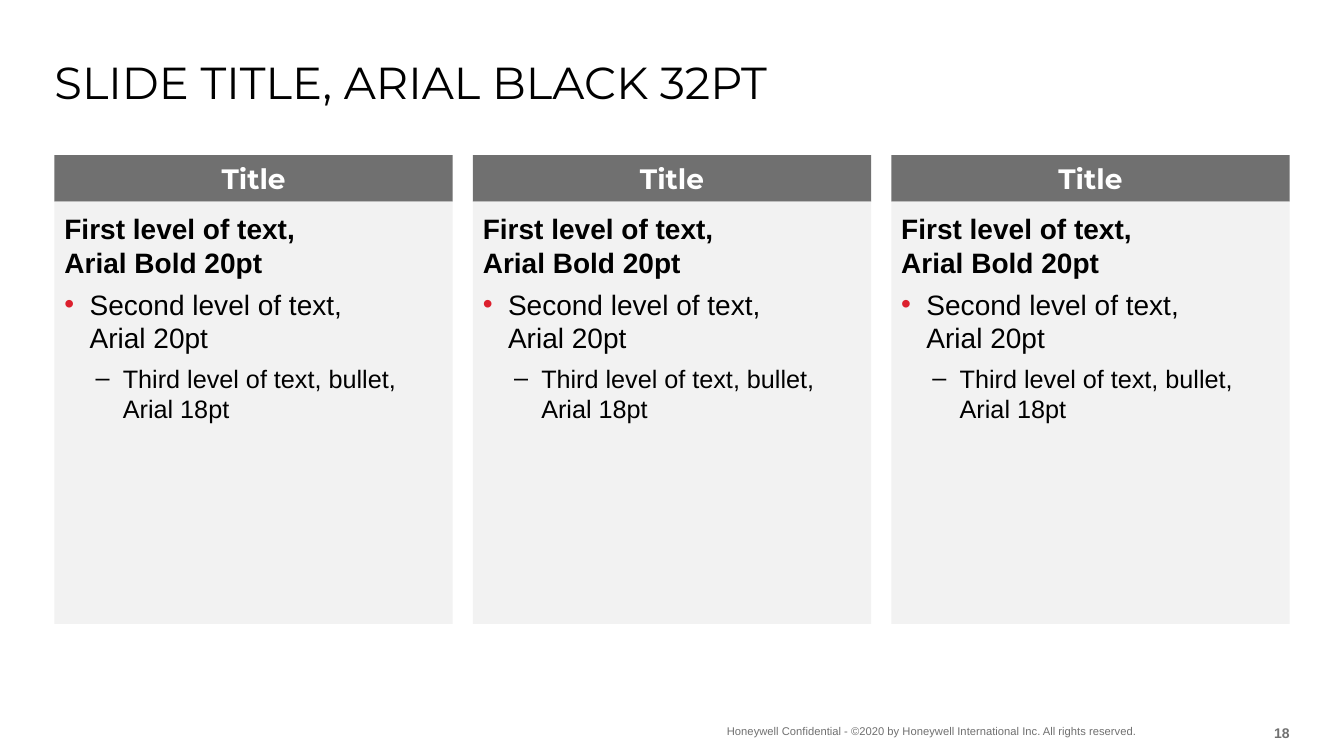
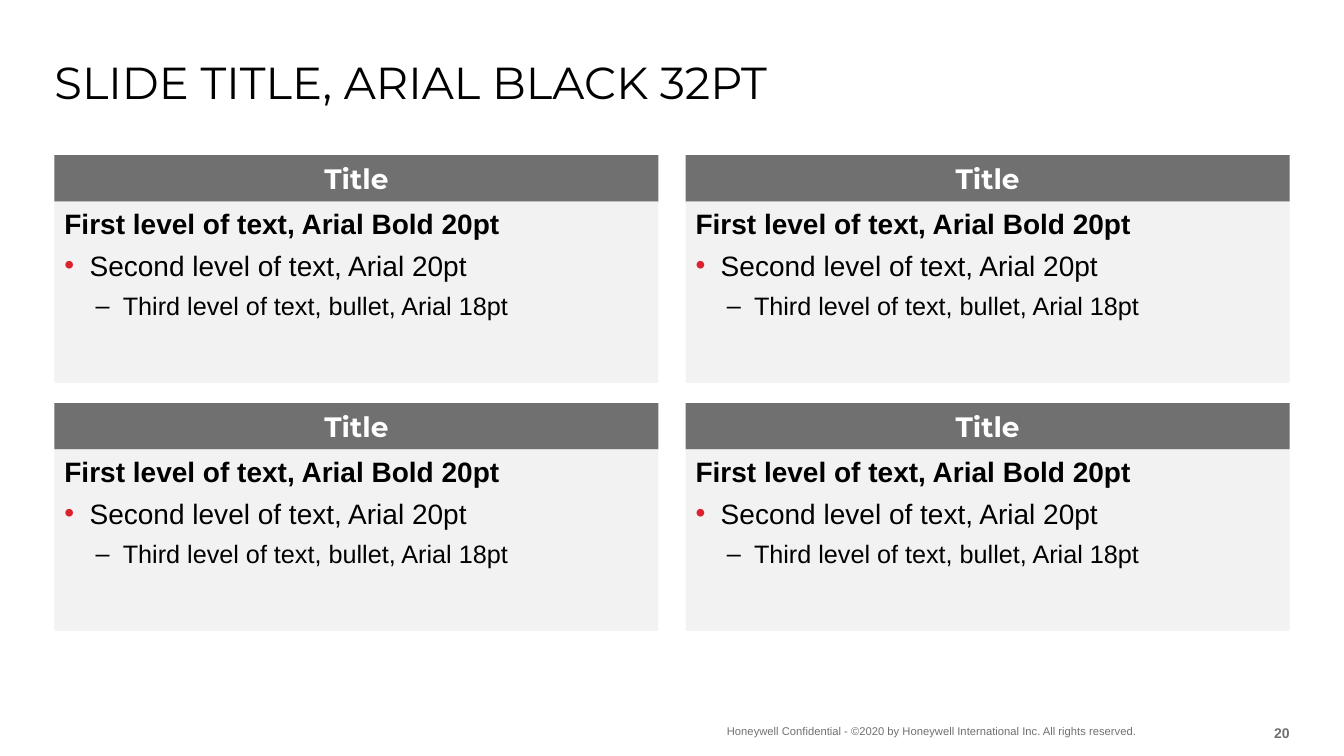
from dataclasses import dataclass

from lxml import etree
from pptx import Presentation
from pptx.dml.color import RGBColor
from pptx.enum.shapes import MSO_SHAPE
from pptx.enum.text import MSO_ANCHOR, PP_ALIGN
from pptx.oxml.ns import qn
from pptx.util import Inches, Pt

RECTANGLE = MSO_SHAPE.RECTANGLE
TOP, MIDDLE, BOTTOM = MSO_ANCHOR.TOP, MSO_ANCHOR.MIDDLE, MSO_ANCHOR.BOTTOM
LEFT, CENTER, RIGHT = PP_ALIGN.LEFT, PP_ALIGN.CENTER, PP_ALIGN.RIGHT
BLANK_LAYOUT = 6


@dataclass(frozen=True)
class TextStyle:
    font: str
    size: int
    color: str
    bold: bool = False


@dataclass(frozen=True)
class Level:
    style: TextStyle
    bullet: str = ""
    bullet_color: str = ""
    margin: float = 0
    hanging: float = 0


@dataclass(frozen=True)
class Theme:
    band: str = "707070"
    panel: str = "F2F2F2"
    title: TextStyle = TextStyle("Montserrat", 32, "000000")
    heading: TextStyle = TextStyle("Montserrat", 20, "FFFFFF", True)
    footer: TextStyle = TextStyle("Arial", 8, "707070")
    number: TextStyle = TextStyle("Arial", 10, "707070", True)
    levels: tuple = (
        Level(TextStyle("Arial", 20, "000000", True)),
        Level(TextStyle("Arial", 20, "000000"), "•", "DC202E", 0.25, 0.25),
        Level(TextStyle("Arial", 18, "000000"), "‒", "000000", 0.58, 0.27),
    )
    space_after: int = 6


THEME = Theme()

# Page frame, in inches
PAGE_WIDTH, PAGE_HEIGHT = 13.33, 7.5
MARGIN = 0.54
CONTENT_WIDTH = PAGE_WIDTH - 2 * MARGIN
CONTENT_TOP = 1.54
BAND_HEIGHT = 0.46

TITLE = "SLIDE TITLE, ARIAL BLACK 32PT"
FOOTER = "Honeywell Confidential - ©2020 by Honeywell International Inc. All rights reserved."


@dataclass(frozen=True)
class CardGrid:
    columns: int
    rows: int
    column_gap: float
    row_gap: float
    card_height: float

    def cells(self):
        """Yield left, top and width of each card, row by row."""
        width = (CONTENT_WIDTH - (self.columns - 1) * self.column_gap) / self.columns
        for row in range(self.rows):
            top = CONTENT_TOP + row * (self.card_height + self.row_gap)
            for column in range(self.columns):
                yield MARGIN + column * (width + self.column_gap), top, width


def apply_style(paragraph, style):
    font = paragraph.font
    font.name, font.size, font.bold = style.font, Pt(style.size), style.bold
    font.color.rgb = RGBColor.from_string(style.color)


def set_bullet(paragraph, level):
    properties = paragraph._p.get_or_add_pPr()
    properties.set("marL", str(Inches(level.margin)))
    properties.set("indent", str(Inches(-level.hanging)))
    color = etree.SubElement(properties, qn("a:buClr"))
    etree.SubElement(color, qn("a:srgbClr"), val=level.bullet_color)
    etree.SubElement(properties, qn("a:buFont"), typeface="Arial")
    etree.SubElement(properties, qn("a:buChar"), char=level.bullet)


def add_label(page, text, area, style, align=LEFT, anchor=TOP, wrap=True):
    """Add a single paragraph of text without insets."""
    frame = page.shapes.add_textbox(*map(Inches, area)).text_frame
    frame.margin_left = frame.margin_right = frame.margin_top = frame.margin_bottom = 0
    frame.word_wrap, frame.vertical_anchor = wrap, anchor
    paragraph = frame.paragraphs[0]
    paragraph.text, paragraph.alignment = text, align
    apply_style(paragraph, style)


def add_panel(page, area, color, anchor):
    """Add a plain filled rectangle and return its text frame."""
    panel = page.shapes.add_shape(RECTANGLE, *map(Inches, area))
    panel.shadow.inherit = False
    panel.fill.solid()
    panel.fill.fore_color.rgb = RGBColor.from_string(color)
    panel.line.fill.background()
    frame = panel.text_frame
    frame.word_wrap, frame.vertical_anchor = True, anchor
    return frame


def add_card(page, cell, height, heading, texts, inset):
    left, top, width = cell

    # Heading band
    band = add_panel(page, (left, top, width, BAND_HEIGHT), THEME.band, MIDDLE)
    paragraph = band.paragraphs[0]
    paragraph.text, paragraph.alignment = heading, CENTER
    apply_style(paragraph, THEME.heading)

    # Body with one paragraph per text level
    area = (left, top + BAND_HEIGHT, width, height - BAND_HEIGHT)
    body = add_panel(page, area, THEME.panel, TOP)
    body.margin_top = body.margin_bottom = Inches(inset)
    for index, (text, level) in enumerate(zip(texts, THEME.levels)):
        paragraph = body.add_paragraph() if index else body.paragraphs[0]
        paragraph.text, paragraph.level, paragraph.alignment = text, index, LEFT
        if level.bullet:
            set_bullet(paragraph, level)
        paragraph.space_after = Pt(THEME.space_after)
        apply_style(paragraph, level.style)


def add_page(deck, number):
    """Add a page with the shared title, footer and page number."""
    page = deck.slides.add_slide(deck.slide_layouts[BLANK_LAYOUT])
    add_label(page, FOOTER, (7.21, 7.08, 4.5, 0.24), THEME.footer,
              anchor=BOTTOM, wrap=False)
    add_label(page, TITLE, (MARGIN, MARGIN, CONTENT_WIDTH, 0.46), THEME.title)
    number_width = 0.54
    number_left = PAGE_WIDTH - MARGIN - number_width
    add_label(page, str(number), (number_left, 7.09, number_width, 0.26),
              THEME.number, RIGHT, BOTTOM)
    return page


def add_card_page(deck, number, grid, texts, inset):
    page = add_page(deck, number)
    for cell in grid.cells():
        add_card(page, cell, grid.card_height, "Title", texts, inset)


def main():
    deck = Presentation()
    deck.slide_width, deck.slide_height = Inches(PAGE_WIDTH), Inches(PAGE_HEIGHT)

    # Three columns
    add_card_page(deck, 18, CardGrid(3, 1, 0.2, 0, 4.65), (
        "First level of text,\vArial Bold 20pt",
        "Second level of text,\vArial 20pt",
        "Third level of text, bullet, Arial 18pt",
    ), inset=0.1)

    # Two by two
    add_card_page(deck, 20, CardGrid(2, 2, 0.27, 0.2, 2.26), (
        "First level of text, Arial Bold 20pt",
        "Second level of text, Arial 20pt",
        "Third level of text, bullet, Arial 18pt",
    ), inset=0.05)

    deck.save("out.pptx")


if __name__ == "__main__":
    main()
